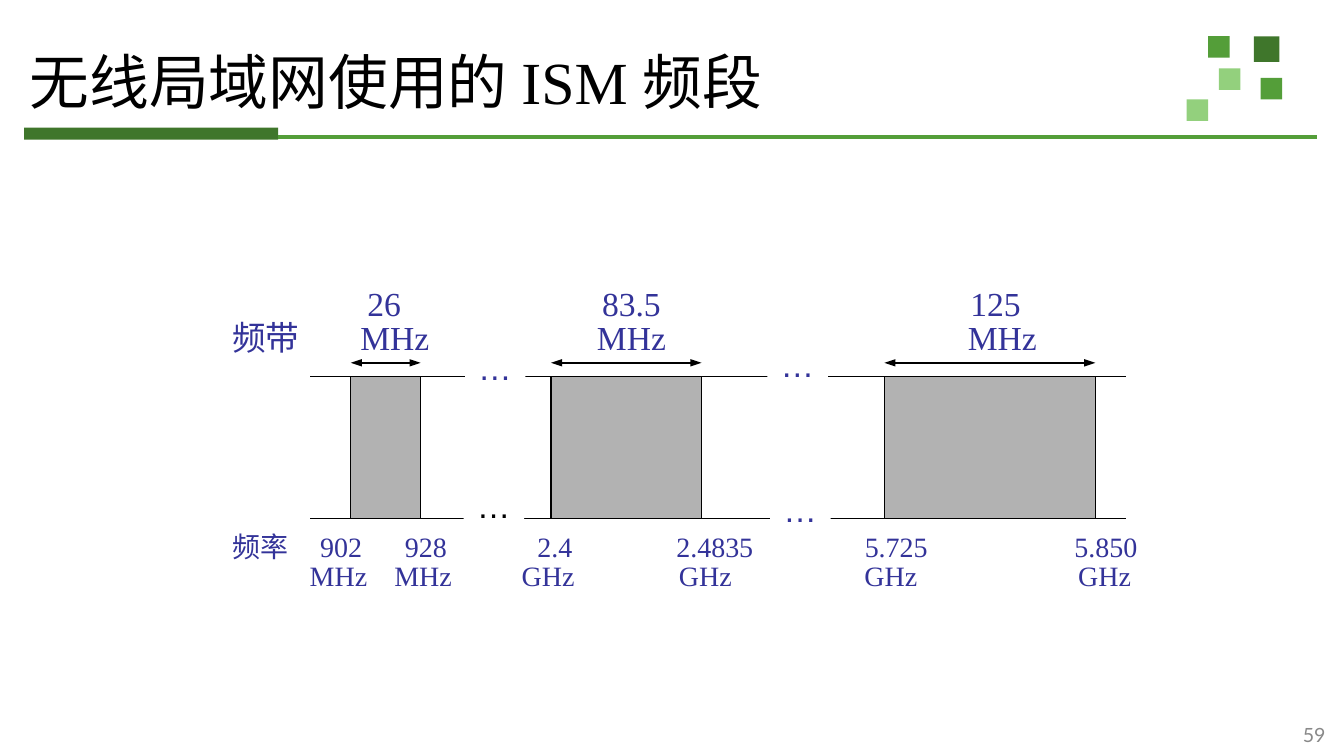
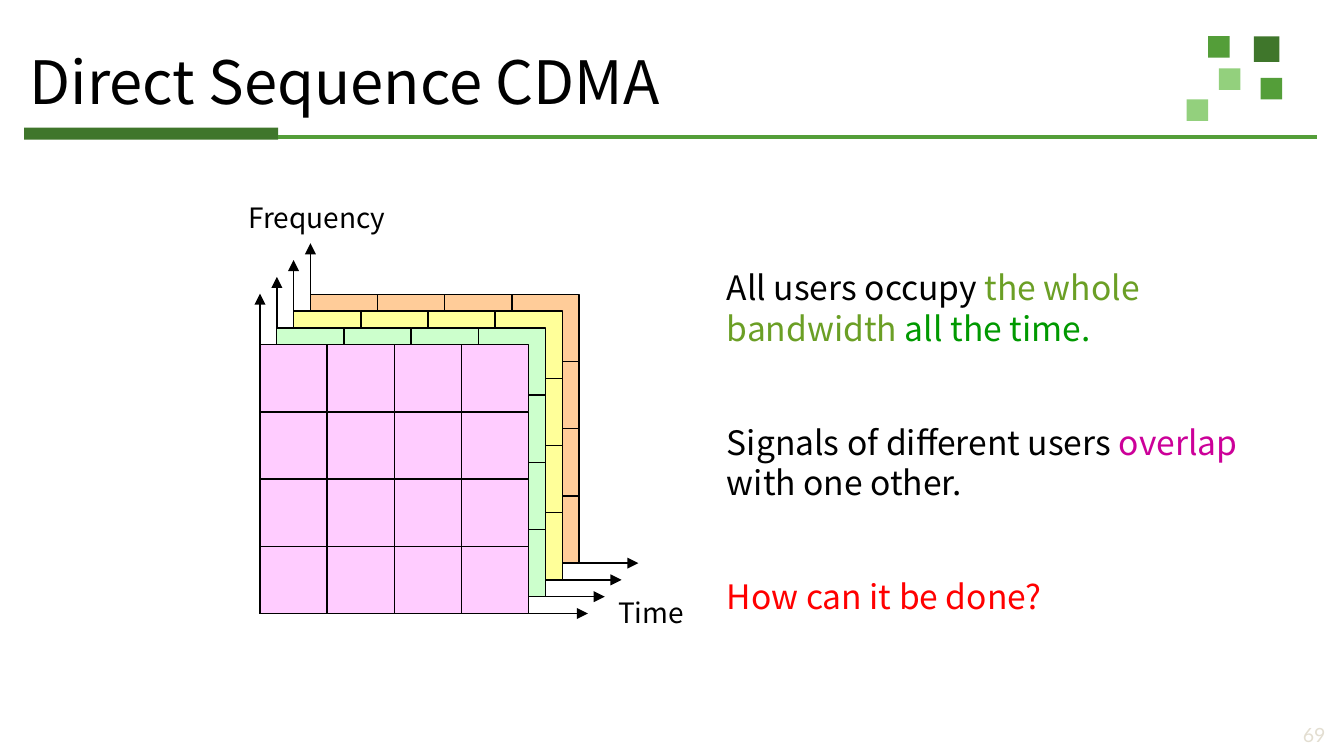
from dataclasses import dataclass
from typing import Any, Optional

import lxml.etree
import pptx
import pptx.dml.color
import pptx.enum.shapes
import pptx.enum.text
import pptx.oxml.ns
import pptx.slide
import pptx.util

Inches = pptx.util.Inches
Pt = pptx.util.Pt
Align = pptx.enum.text.PP_ALIGN
Anchor = pptx.enum.text.MSO_ANCHOR
qn = pptx.oxml.ns.qn

HUES = {
    "black": "000000", "white": "FFFFFF", "navy": "333399", "gray": "B2B2B2",
    "dark": "3F762B", "green": "549E39", "pale": "93D07D",
    "dim": "898989", "faint": "E3DED1",
    "orange": "FFCC99", "yellow": "FFFF99", "mint": "CCFFCC", "pink": "FFCCFF",
    "olive": "6B9F25", "leaf": "009900", "plum": "CC0099", "red": "FF0000",
}
SERIF = "Times New Roman"
SANS = "Noto Sans CJK SC"


@dataclass(frozen=True)
class Box:
    left: float
    top: float
    width: float
    height: float

    def emu(self) -> list[int]:
        return [Inches(n) for n in (self.left, self.top, self.width, self.height)]


@dataclass(frozen=True)
class Style:
    name: str
    size: float
    hue: str = "black"


@dataclass(frozen=True)
class Square:
    left: float
    top: float
    side: float
    hue: str


@dataclass(frozen=True)
class Band:
    left: float
    width: float


@dataclass(frozen=True)
class Row:
    """A text line whose words are centred on tab stops."""
    text: str
    stops: tuple[float, ...]


@dataclass(frozen=True)
class Scale:
    box: Box
    size: float
    rows: tuple[Row, Row]


@dataclass(frozen=True)
class Dots:
    left: float
    top: float
    hue: str = "navy"


@dataclass(frozen=True)
class Layer:
    body: str
    edge: str


SQUARES = (
    Square(9.33, 0.27, 0.19, "dark"),
    Square(8.99, 0.27, 0.16, "green"),
    Square(9.38, 0.58, 0.16, "green"),
    Square(9.07, 0.51, 0.16, "pale"),
    Square(8.83, 0.74, 0.16, "pale"),
)
BANDS = (Band(2.61, 0.52), Band(4.1, 1.12), Band(6.58, 1.57))
SCALES = (
    Scale(Box(1.63, 2.1, 6.24, 0.62), 18, (
        Row("\t26\t83.5\t125", (2.86, 4.7, 7.41)),
        Row("频带\tMHz\tMHz\tMHz", (2.94, 4.7, 7.46)))),
    Scale(Box(1.63, 3.93, 6.99, 0.53), 15, (
        Row("频率\t902\t928\t2.4\t2.4835\t5.725\t5.850",
            (2.54, 3.17, 4.13, 5.32, 6.67, 8.23)),
        Row("\tMHz\tMHz\tGHz\tGHz\tGHz\tGHz",
            (2.52, 3.15, 4.08, 5.25, 6.63, 8.22)))),
)
DOTS = (Dots(3.46, 2.53), Dots(3.45, 3.56, "black"), Dots(5.71, 2.51), Dots(5.73, 3.59))
LAYERS = (
    Layer("yellow", "orange"),
    Layer("yellow", "yellow"),
    Layer("mint", "mint"),
    Layer("pink", "pink"),
)
POINTS = (
    (("All users occupy ", "black"), ("the whole bandwidth ", "olive"),
     ("all the time.", "leaf")),
    (("Signals of different users ", "black"), ("overlap", "plum"),
     (" with one other.", "black")),
    (("How can it be done?", "red"),),
)


def tint(hue: str) -> pptx.dml.color.RGBColor:
    return pptx.dml.color.RGBColor.from_string(HUES[hue])


def set_font(font: Any, style: Style) -> None:
    font.name = style.name
    font.size = Pt(style.size)
    font.color.rgb = tint(style.hue)


def add_rect(shapes: Any, box: Box, hue: str, edge: Optional[str] = None) -> Any:
    rect = shapes.add_shape(pptx.enum.shapes.MSO_SHAPE.RECTANGLE, *box.emu())
    rect.shadow.inherit = False
    rect.fill.solid()
    rect.fill.fore_color.rgb = tint(hue)
    if edge:
        rect.line.color.rgb = tint(edge)
        rect.line.width = Pt(0.75)
    else:
        rect.line.fill.background()
    return rect


def add_line(shapes: Any, start: tuple[float, float], end: tuple[float, float],
             ends: tuple[str, ...] = (), hue: str = "black", width: float = 0.75,
             tip: str = "med") -> None:
    """Draw a straight line; ends lists headEnd and tailEnd arrows."""
    line = shapes.add_connector(pptx.enum.shapes.MSO_CONNECTOR.STRAIGHT,
                                *(Inches(n) for n in start + end))
    line.line.color.rgb = tint(hue)
    line.line.width = Pt(width)
    props = line._element.spPr
    for tag in ends:
        lxml.etree.SubElement(props.find(qn("a:ln")), qn(f"a:{tag}"),
                              type="triangle", w=tip, len="med")
    lxml.etree.SubElement(props, qn("a:effectLst"))


def add_text(slide: pptx.slide.Slide, box: Box, text: str, style: Style) -> Any:
    frame = slide.shapes.add_textbox(*box.emu()).text_frame
    frame.word_wrap = True
    frame.text = text
    set_font(frame.paragraphs[0].font, style)
    return frame


def add_scale(slide: pptx.slide.Slide, scale: Scale) -> None:
    frame = slide.shapes.add_textbox(*scale.box.emu()).text_frame
    frame.word_wrap = True
    frame.text = "\n".join(row.text for row in scale.rows)
    start = scale.box.left + 0.1
    for para, row in zip(frame.paragraphs, scale.rows):
        para.line_spacing = 0.85
        tabs = lxml.etree.SubElement(para._p.get_or_add_pPr(), qn("a:tabLst"))
        for stop in row.stops:
            lxml.etree.SubElement(tabs, qn("a:tab"), pos=str(Inches(stop - start)),
                                  algn="ctr")
        set_font(para.font, Style(SERIF, scale.size, "navy"))


def add_slide(deck: Any, title: str, face: str, page: str, hue: str) -> pptx.slide.Slide:
    """Add a slide with the shared title, rule, squares and page number."""
    slide = deck.slides.add_slide(deck.slide_layouts[5])
    logo = slide.shapes.add_group_shape()
    for item in SQUARES:
        add_rect(logo.shapes, Box(item.left, item.top, item.side, item.side), item.hue)
    rule = slide.shapes.add_group_shape()
    add_rect(rule.shapes, Box(0.18, 0.95, 1.89, 0.09), "dark")
    add_line(rule.shapes, (2.07, 1.02), (9.8, 1.02), hue="green", width=2)

    head = slide.shapes.title
    head.left, head.top, head.width, head.height = Box(0.15, 0.28, 9.63, 0.71).emu()
    frame = head.text_frame
    frame.text = title
    frame.word_wrap = True
    frame.auto_size = pptx.enum.text.MSO_AUTO_SIZE.NONE
    frame.vertical_anchor = Anchor.MIDDLE
    frame.margin_left = frame.margin_right = Inches(0.07)
    frame.margin_top = frame.margin_bottom = Inches(0.04)
    para = frame.paragraphs[0]
    para.alignment = Align.LEFT
    para.line_spacing = 0.9
    set_font(para.font, Style(face, 32))

    foot = add_text(slide, Box(9.38, 5.32, 0.58, 0.3), page, Style("Lato", 10.5, hue))
    foot.vertical_anchor = Anchor.MIDDLE
    foot.paragraphs[0].alignment = Align.RIGHT
    return slide


def draw_bands(deck: Any) -> None:
    slide = add_slide(deck, "无线局域网使用的 ISM 频段", SERIF, "59", "dim")
    shapes = slide.shapes
    top, base = 2.8, 3.86
    for scale in SCALES:
        add_scale(slide, scale)
    for y in (top, base):
        add_line(shapes, (2.31, y), (8.38, y))
    for band in BANDS:
        add_rect(shapes, Box(band.left, top, band.width, base - top), "gray", "black")
        add_line(shapes, (band.left, top - 0.1), (band.left + band.width, top - 0.1),
                 ("headEnd", "tailEnd"), tip="sm")
    for dots in DOTS:
        gap = add_rect(shapes, Box(dots.left, dots.top, 0.45, 0.4), "white")
        frame = gap.text_frame
        frame.text = "…"
        frame.word_wrap = False
        frame.vertical_anchor = Anchor.TOP
        para = frame.paragraphs[0]
        para.alignment = Align.LEFT
        set_font(para.font, Style("Arial", 18, dots.hue))


def add_layer(shapes: Any, layer: Layer, left: float, top: float) -> None:
    """Draw one user's axes and 4 by 4 grid, from the grid's top left."""
    count, side = 4, 0.5
    base = top + count * side
    add_line(shapes, (left, top - 0.38), (left, base), ("headEnd",))
    add_line(shapes, (left, base), (left + 2.44, base), ("tailEnd",))
    for row in reversed(range(count)):
        for col in range(count):
            hue = layer.edge if row == 0 or col == count - 1 else layer.body
            add_rect(shapes, Box(left + col * side, top + row * side, side, side),
                     hue, "black")


def draw_cdma(deck: Any) -> None:
    slide = add_slide(deck, "Direct Sequence CDMA", SANS, "69", "faint")
    step = 1 / 8
    for i, layer in enumerate(LAYERS):
        add_layer(slide.shapes, layer, 2.31 - i * step, 2.19 + i * step)
    label = Style(SANS, 15)
    add_text(slide, Box(4.5, 4.38, 0.81, 0.35), "Time", label)
    add_text(slide, Box(1.75, 1.44, 1.31, 0.35), "Frequency", label)

    frame = slide.shapes.add_textbox(*Box(5.31, 1.94, 4.32, 2.83).emu()).text_frame
    frame.word_wrap = True
    for i, parts in enumerate(POINTS):
        para = frame.add_paragraph() if i else frame.paragraphs[0]
        if i:
            para.space_before = Pt(39.5)
        para.font.name = SANS
        para.font.size = Pt(18)
        for text, hue in parts:
            run = para.add_run()
            run.text = text
            run.font.color.rgb = tint(hue)


def main() -> None:
    deck = pptx.Presentation()
    deck.slide_width = Inches(10)
    deck.slide_height = deck.slide_width * 9 // 16
    draw_bands(deck)
    draw_cdma(deck)
    deck.save("out.pptx")


if __name__ == "__main__":
    main()
